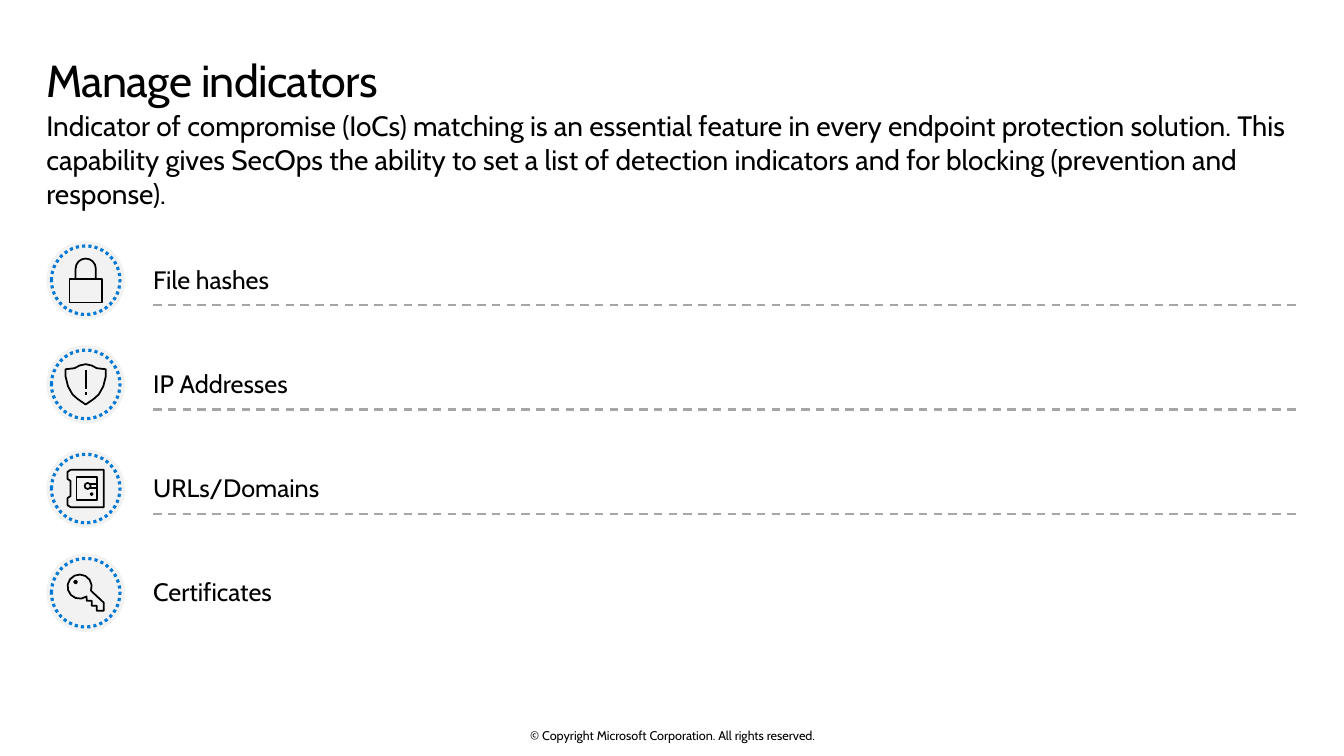
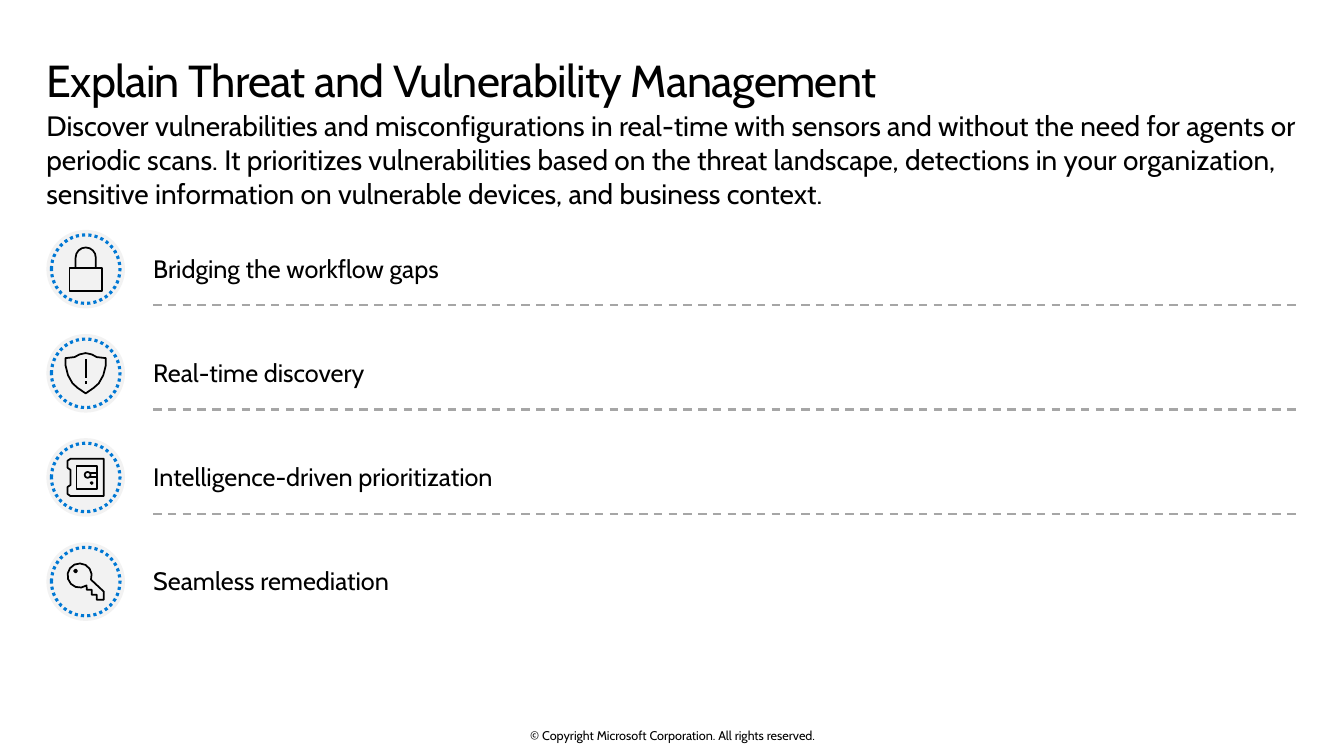
import math
from dataclasses import dataclass

import pptx
import pptx.dml.color
import pptx.enum.dml
import pptx.enum.shapes
import pptx.enum.text
import pptx.oxml.ns
import pptx.presentation
import pptx.slide
import pptx.util
from lxml import etree

Inches = pptx.util.Inches
Pt = pptx.util.Pt
Anchor = pptx.enum.text.MSO_ANCHOR
Align = pptx.enum.text.PP_ALIGN
Dash = pptx.enum.dml.MSO_LINE
Point = tuple[float, float]

FONT = "Cabin"
BLACK, GRAY, PALE, BLUE = "000000", "A6A6A6", "F2F2F2", "0078D4"
SLIDE_WIDTH, SLIDE_HEIGHT = 13.33, 7.5
LEFT, CONTENT_WIDTH = 0.46, 12.4
LABEL_LEFT, LABEL_WIDTH, LABEL_HEIGHT = 1.52, 11.36, 0.72
RULE_TOP, RULE_RIGHT = 3.03, LEFT + CONTENT_WIDTH
ROW_PITCH = 3.1 / 3
BADGE_SIZE, RING_SIZE = 0.78, 0.68
BADGE_CENTRE = LEFT + BADGE_SIZE / 2
COPYRIGHT = "© Copyright Microsoft Corporation. All rights reserved."


@dataclass(frozen=True)
class Stroke:
    """One contour, in hundredths of an inch from the badge centre."""
    points: list[Point]
    closed: bool = True


@dataclass(frozen=True)
class Topic:
    title: str
    intro: str
    labels: tuple[str, ...]
    first_centre: float


@dataclass(frozen=True)
class TextStyle:
    size: float
    anchor: Anchor = Anchor.MIDDLE
    align: Align = Align.LEFT
    margins: tuple[float, float, float, float] = (0, 0, 0, 0)
    line_spacing: float = 1.0
    tracking: float = 0


TITLE = TextStyle(32, Anchor.TOP, margins=(0, 0.1, 0.16, 0.1), line_spacing=0.9, tracking=-0.5)
INTRO = TextStyle(20, Anchor.TOP)
LABEL = TextStyle(18)
FOOTER = TextStyle(9, align=Align.CENTER)


def arc(x: float, y: float, radius: float, start: float, end: float, steps: int) -> list[Point]:
    """Points along an arc, clockwise, with angles in degrees."""
    angles = [math.radians(start + (end - start) * step / steps) for step in range(steps + 1)]
    return [(x + radius * math.cos(angle), y + radius * math.sin(angle)) for angle in angles]


def ring_points(x: float, y: float, radius: float, corners: int) -> list[Point]:
    return arc(x, y, radius, 0, 360, corners)[:-1]


def rectangle(left: float, top: float, right: float, bottom: float) -> list[Point]:
    return [(left, top), (right, top), (right, bottom), (left, bottom)]


SHIELD_LEFT = [(-8, 14.5), (-13, 10), (-17.5, 2), (-20, -8), (-20, -15), (-11, -16), (-6, -18.7)]
SHIELD_RIGHT = [(-x, y) for x, y in reversed(SHIELD_LEFT)]
LOCK = [
    Stroke(rectangle(-16, -1.5, 16, 22)),
    Stroke([(-10, -1.5), *arc(0, -11.5, 10, 180, 360, 8), (10, -1.5)], closed=False),
]
SHIELD = [
    Stroke([(0, 20), *SHIELD_LEFT, (0, -20), *SHIELD_RIGHT]),
    Stroke([(0, -14), (0, 5)], closed=False),
    Stroke([(0, 8), (0, 11)], closed=False),
]
SAFE = [
    Stroke([(18, -18.5), (18, 18.5), (-15, 18.5), (-18, 16.5), (-18, 9.5), (-15, 7.5),
            (-15, -7.5), (-18, -9.5), (-18, -16.5), (-15, -18.5)]),
    Stroke(rectangle(-9, -11.5, 11, 11.5)),
    Stroke(ring_points(2, -2.5, 3, 8)),
    Stroke(ring_points(6, 5.5, 1, 4)),
    Stroke([(4, -4.5), (11, -4.5)], closed=False),
    Stroke([(4, -0.5), (11, -0.5)], closed=False),
]
KEY = [
    Stroke([*arc(-6, -6, 12, 55, 380, 12), (18, 10), (18, 18), (11, 18), (11, 13),
            (6, 13), (6, 8), (1, 8)]),
    Stroke(ring_points(-10, -10.5, 1.5, 4)),
]
ICONS = (LOCK, SHIELD, SAFE, KEY)

TOPICS = (
    Topic(
        "Manage indicators",
        "Indicator of compromise (IoCs) matching is an essential feature in every endpoint "
        "protection solution. This capability gives SecOps the ability to set a list of "
        "detection indicators and for blocking (prevention and response).",
        ("File hashes", "IP Addresses", "URLs/Domains", "Certificates"),
        2.78,
    ),
    Topic(
        "Explain Threat and Vulnerability Management",
        "Discover vulnerabilities and misconfigurations in real-time with sensors and without "
        "the need for agents or periodic scans. It prioritizes vulnerabilities based on the "
        "threat landscape, detections in your organization, sensitive information on "
        "vulnerable devices, and business context.",
        ("Bridging the workflow gaps", "Real-time discovery",
         "Intelligence-driven prioritization", "Seamless remediation"),
        2.67,
    ),
)


def color(value: str) -> pptx.dml.color.RGBColor:
    return pptx.dml.color.RGBColor.from_string(value)


def place(box, left: float, top: float, width: float, height: float) -> None:
    box.left, box.top = Inches(left), Inches(top)
    box.width, box.height = Inches(width), Inches(height)


def write(box, text: str, style: TextStyle) -> None:
    """Fill a box with one unbulleted paragraph."""
    frame = box.text_frame
    frame.text = text
    frame.word_wrap = True
    frame.auto_size = pptx.enum.text.MSO_AUTO_SIZE.NONE
    frame.vertical_anchor = style.anchor
    (frame.margin_left, frame.margin_top,
     frame.margin_right, frame.margin_bottom) = map(Inches, style.margins)
    para = frame.paragraphs[0]
    para.alignment = style.align
    para.line_spacing = style.line_spacing
    para.space_before = Pt(0)
    properties = para._p.get_or_add_pPr()
    properties.set("marL", "0")
    properties.set("indent", "0")
    etree.SubElement(properties, pptx.oxml.ns.qn("a:buNone"))
    span = para.runs[0]
    span.font.name = FONT
    span.font.size = Pt(style.size)
    span.font.color.rgb = color(BLACK)
    if style.tracking:
        span._r.get_or_add_rPr().set("spc", str(round(style.tracking * 100)))


def outline(shape, value: str, width: float, dash: Dash | None = None) -> None:
    shape.line.color.rgb = color(value)
    shape.line.width = Pt(width)
    if dash is not None:
        shape.line.dash_style = dash


def add_text(page: pptx.slide.Slide, text: str, style: TextStyle, left: float, top: float,
             width: float, height: float):
    box = page.shapes.add_textbox(*map(Inches, (left, top, width, height)))
    write(box, text, style)
    return box


def add_rule(page: pptx.slide.Slide, top: float):
    rule = page.shapes.add_connector(
        pptx.enum.shapes.MSO_CONNECTOR.STRAIGHT,
        *map(Inches, (LABEL_LEFT, top, RULE_RIGHT, top)))
    outline(rule, GRAY, 1.5, Dash.DASH)
    etree.SubElement(rule.element.spPr, pptx.oxml.ns.qn("a:effectLst"))
    return rule


def furnish_layout(page: pptx.slide.Slide) -> None:
    """Draw the rules and footer, then move them to the layout the slides share."""
    shared = [add_rule(page, RULE_TOP + row * ROW_PITCH) for row in range(len(ICONS) - 1)]
    shared.append(add_text(page, COPYRIGHT, FOOTER, 4.42, 7.22, 4.5, 0.15))
    for shape in shared:
        page.slide_layout.shapes.element.append(shape.element)


def add_circle(group, centre: float, size: float):
    circle = group.shapes.add_shape(
        pptx.enum.shapes.MSO_SHAPE.OVAL,
        *map(Inches, (BADGE_CENTRE - size / 2, centre - size / 2, size, size)))
    circle.shadow.inherit = False
    return circle


def add_icon(group, icon: list[Stroke], centre: float) -> None:
    builder = None
    for stroke in icon:
        start, *others = [(Inches(BADGE_CENTRE + x / 100), Inches(centre + y / 100))
                          for x, y in stroke.points]
        if builder is None:
            builder = group.shapes.build_freeform(*start)
        else:
            builder.move_to(*start)
        builder.add_line_segments(others, close=stroke.closed)
    drawing = builder.convert_to_shape()
    drawing.shadow.inherit = False
    drawing.fill.background()
    outline(drawing, BLACK, 1.25)


def add_badge(page: pptx.slide.Slide, icon: list[Stroke], centre: float) -> None:
    group = page.shapes.add_group_shape()
    disc = add_circle(group, centre, BADGE_SIZE)
    disc.fill.solid()
    disc.fill.fore_color.rgb = color(PALE)
    disc.line.fill.background()
    ring = add_circle(group, centre, RING_SIZE)
    ring.fill.background()
    outline(ring, BLUE, 2.25, Dash.ROUND_DOT)
    add_icon(group, icon, centre)


def fill_page(page: pptx.slide.Slide, topic: Topic) -> None:
    title, intro = page.placeholders
    place(title, LEFT, 0.48, CONTENT_WIDTH, 0.74)
    write(title, topic.title, TITLE)
    place(intro, LEFT, 1.08, CONTENT_WIDTH, 1.01)
    write(intro, topic.intro, INTRO)
    for row, (label, icon) in enumerate(zip(topic.labels, ICONS)):
        centre = topic.first_centre + row * ROW_PITCH
        add_badge(page, icon, centre)
        add_text(page, label, LABEL, LABEL_LEFT, centre - 0.01 - LABEL_HEIGHT / 2,
                 LABEL_WIDTH, LABEL_HEIGHT)


def main() -> None:
    deck = pptx.Presentation()
    deck.slide_width, deck.slide_height = Inches(SLIDE_WIDTH), Inches(SLIDE_HEIGHT)
    layout = deck.slide_layouts.get_by_name("Title and Content")
    pages = [deck.slides.add_slide(layout) for _ in TOPICS]
    furnish_layout(pages[0])
    for page, topic in zip(pages, TOPICS):
        fill_page(page, topic)
    deck.save("out.pptx")


if __name__ == "__main__":
    main()
